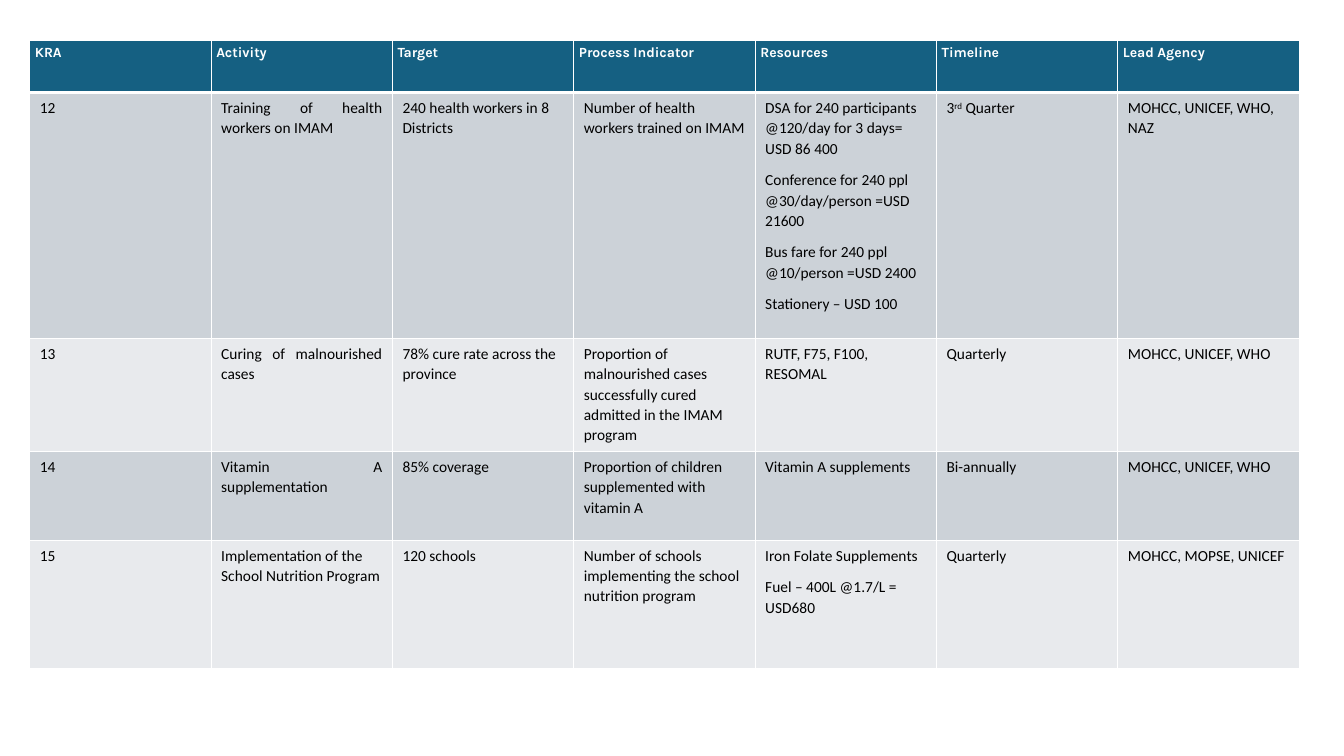
"""Build a slide with the nutrition activity plan table, KRA 12 to 15."""
from lxml import etree
from pptx import Presentation
from pptx.dml.color import RGBColor
from pptx.enum.text import PP_ALIGN
from pptx.oxml.ns import qn
from pptx.util import Cm, Pt

JUSTIFY, LEFT = PP_ALIGN.JUSTIFY, PP_ALIGN.LEFT
WHITE = RGBColor(0xFF, 0xFF, 0xFF)
BLACK = RGBColor(0x00, 0x00, 0x00)
HEADER_BLUE = RGBColor(0x15, 0x60, 0x82)
BAND_DARK = RGBColor(0xCC, 0xD2, 0xD8)
BAND_LIGHT = RGBColor(0xE8, 0xEA, 0xED)

ROWS = [
    ["KRA", "Activity", "Target", "Process Indicator", "Resources", "Timeline",
     "Lead Agency"],
    ["12", "Training of health workers on IMAM", "240 health workers in 8 Districts",
     "Number of health workers trained on IMAM",
     "DSA for 240 participants @120/day for 3 days= USD 86 400\n"
     "Conference for 240 ppl @30/day/person =USD 21600\n"
     "Bus fare for 240 ppl @10/person =USD 2400\n"
     "Stationery – USD 100",
     "3^rd^ Quarter", "MOHCC, UNICEF, WHO, NAZ"],
    ["13", "Curing of malnourished cases", "78% cure rate across the province",
     "Proportion of malnourished cases successfully cured admitted in the IMAM program",
     "RUTF, F75, F100, RESOMAL", "Quarterly", "MOHCC, UNICEF, WHO"],
    ["14", "Vitamin A supplementation", "85% coverage",
     "Proportion of children supplemented with vitamin A",
     "Vitamin A supplements", "Bi-annually", "MOHCC, UNICEF, WHO"],
    ["15", "Implementation of the School Nutrition Program", "120 schools",
     "Number of schools implementing the school nutrition program",
     "Iron Folate Supplements\nFuel – 400L @1.7/L = USD680",
     "Quarterly", "MOHCC, MOPSE, UNICEF"],
]
ROW_HEIGHTS = [1.31, 6.2, 2.84, 2.24, 3.23]
COL_WIDTH = 4.57
JUSTIFIED_ROWS = (1, 2, 3)


def add_border(cell, side, width):
    """Draw one white cell edge."""
    ln = etree.SubElement(cell._tc.get_or_add_tcPr(), qn(f"a:ln{side}"), w=str(Pt(width)))
    fill = etree.SubElement(ln, qn("a:solidFill"))
    etree.SubElement(fill, qn("a:srgbClr"), val=str(WHITE))


prs = Presentation()
prs.slide_width, prs.slide_height = Cm(33.87), Cm(19.05)
s = prs.slides.add_slide(prs.slide_layouts[6])
table = s.shapes.add_table(len(ROWS), len(ROWS[0]), Cm(0.75), Cm(1.02),
                           Cm(COL_WIDTH * len(ROWS[0])), Cm(sum(ROW_HEIGHTS))).table
for col in table.columns:
    col.width = Cm(COL_WIDTH)

for i, texts in enumerate(ROWS):
    table.rows[i].height = Cm(ROW_HEIGHTS[i])
    header = i == 0
    band = HEADER_BLUE if header else (BAND_DARK if i % 2 else BAND_LIGHT)
    for j, text in enumerate(texts):
        cell = table.cell(i, j)
        if header:
            cell.margin_left = cell.margin_right = Cm(0.13)
            cell.margin_top = cell.margin_bottom = Cm(0.08)
        for side in "LRTB":
            thick = (i, side) in ((0, "B"), (1, "T"))
            add_border(cell, side, 3 if thick else 1)
        cell.fill.solid()
        cell.fill.fore_color.rgb = band
        tf = cell.text_frame
        tf.text = text.replace("^", "") if "^" not in text else ""
        if "^" in text:
            for k, part in enumerate(text.split("^")):
                r = tf.paragraphs[0].add_run()
                r.text = part
                if k % 2:
                    r._r.get_or_add_rPr().set("baseline", "30000")
        for p in tf.paragraphs:
            p.alignment = JUSTIFY if j == 1 and i in JUSTIFIED_ROWS else LEFT
            p.line_spacing = 1.07
            p.space_after = Pt(8)
            for r in p.runs:
                r.font.name = "Karla" if header else "Calibri"
                r.font.size = Pt(10 if header else 11)
                r.font.bold = header
                r.font.color.rgb = WHITE if header else BLACK

prs.save("out.pptx")
